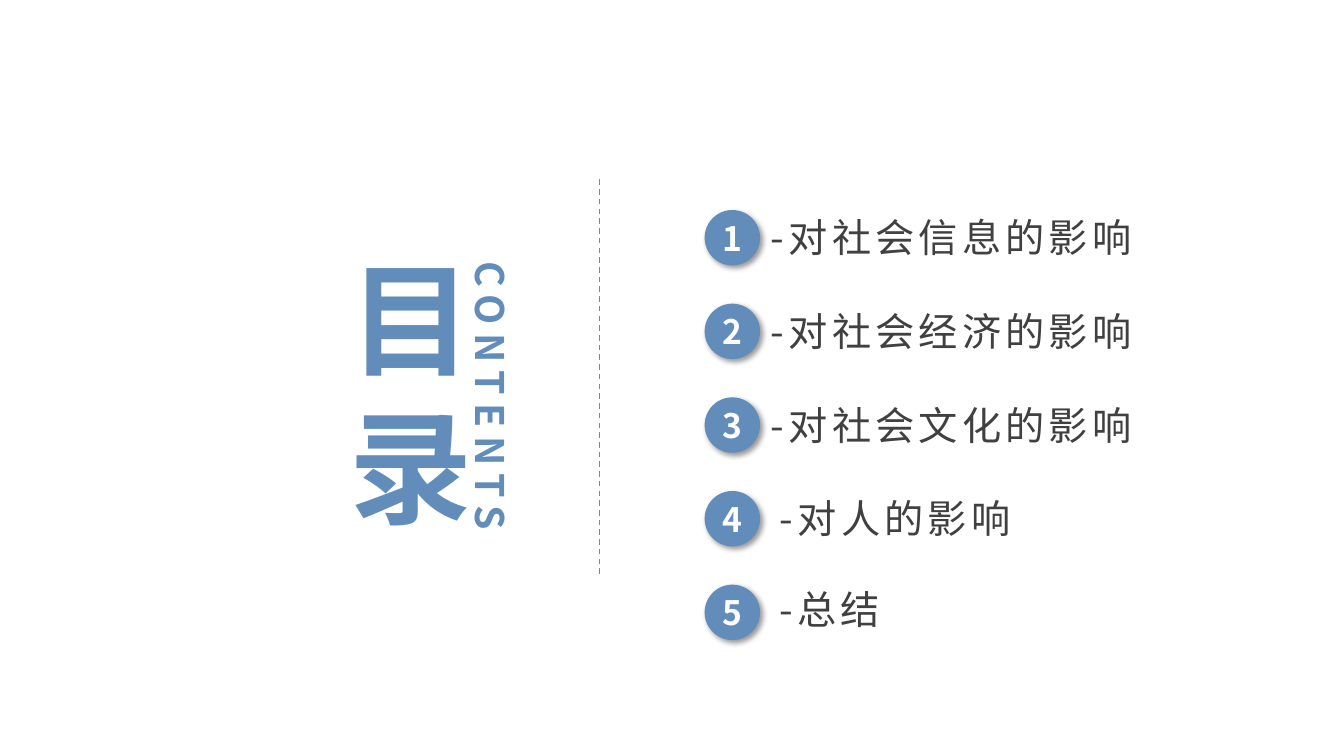
from dataclasses import dataclass
from typing import Optional

from lxml import etree
from pptx import Presentation
from pptx.dml.color import RGBColor
from pptx.enum import dml, shapes, text
from pptx.oxml.ns import qn
from pptx.util import Pt


@dataclass(frozen=True)
class Theme:
    font: str = "Noto Sans CJK SC"
    accent: str = "628DBA"
    body: str = "404040"
    white: str = "FFFFFF"
    shadow: str = "000000"
    title_size: float = 88
    item_size: float = 28
    number_size: float = 24


@dataclass(frozen=True)
class Box:
    left: float
    top: float
    width: float
    height: float

    def lengths(self) -> tuple:
        return Pt(self.left), Pt(self.top), Pt(self.width), Pt(self.height)


@dataclass(frozen=True)
class Item:
    label: str
    left: float
    width: float
    rise: float = 1


T = Theme()
ITEMS = [
    Item("-对社会信息的影响", 543.6, 279.4),
    Item("-对社会经济的影响", 543.6, 279.4),
    Item("-对社会文化的影响", 543.6, 279.4),
    Item("-对人的影响", 550, 186.5),
    Item("-总结", 550, 93.6, rise=3),
]
FIRST_TOP, PITCH = 150, 66.9
BADGE_LEFT, BADGE_SIZE, LABEL_HEIGHT = 503.3, 39.6, 41


def add_run(p, content: str, size: float, color: str, bold: bool = False,
            spacing: float = 0) -> None:
    r = p.add_run()
    r.text = content
    r.font.size = Pt(size)
    r.font.bold = bold
    r.font.color.rgb = RGBColor.from_string(color)
    r.font.name = T.font
    props = r._r.get_or_add_rPr()
    etree.SubElement(props, qn("a:ea")).set("typeface", T.font)
    if spacing:
        props.set("spc", str(int(spacing * 100)))


def add_text(s, box: Box, lines: list[str], size: float, color: str,
             bold: bool = False, spacing: float = 0,
             align: text.PP_ALIGN = text.PP_ALIGN.LEFT,
             pitch: Optional[float] = None):
    tf = s.shapes.add_textbox(*box.lengths()).text_frame
    tf.word_wrap = False
    tf.vertical_anchor = text.MSO_ANCHOR.MIDDLE
    for i, line in enumerate(lines):
        p = tf.add_paragraph() if i else tf.paragraphs[0]
        p.alignment = align
        if pitch:
            p.line_spacing = Pt(pitch)
        add_run(p, line, size, color, bold, spacing)
    return tf


def add_soft_shadow(sp) -> None:
    """Cast a blurred shadow towards the lower right."""
    sp.shadow.inherit = False
    effects = sp._element.spPr.find(qn("a:effectLst"))
    shadow = etree.SubElement(effects, qn("a:outerShdw"), blurRad=str(Pt(4)),
                              dist=str(Pt(3)), dir="2700000", algn="tl",
                              rotWithShape="0")
    color = etree.SubElement(shadow, qn("a:srgbClr"), val=T.shadow)
    etree.SubElement(color, qn("a:alpha"), val="40000")


def add_badge(s, number: int, top: float) -> None:
    box = Box(BADGE_LEFT, top, BADGE_SIZE, BADGE_SIZE)
    sp = s.shapes.add_shape(shapes.MSO_SHAPE.OVAL, *box.lengths())
    sp.fill.solid()
    sp.fill.fore_color.rgb = RGBColor.from_string(T.accent)
    sp.line.fill.background()
    add_soft_shadow(sp)
    tf = sp.text_frame
    tf.margin_left = tf.margin_right = 0
    tf.vertical_anchor = text.MSO_ANCHOR.MIDDLE
    p = tf.paragraphs[0]
    p.alignment = text.PP_ALIGN.CENTER
    add_run(p, str(number), T.number_size, T.white, bold=True)


def add_divider(s, x: float, top: float, bottom: float) -> None:
    line = s.shapes.add_connector(shapes.MSO_CONNECTOR.STRAIGHT,
                                  Pt(x), Pt(top), Pt(x), Pt(bottom))
    line.line.color.rgb = RGBColor.from_string(T.accent)
    line.line.width = Pt(1)
    line.line.dash_style = dml.MSO_LINE.DASH
    etree.SubElement(line._element.spPr, qn("a:effectLst"))


def add_heading(s) -> None:
    tf = add_text(s, Box(242, 164.2, 103.7, 220.3), ["目", "录"], T.title_size,
                  T.accent, bold=True, spacing=6,
                  align=text.PP_ALIGN.CENTER, pitch=106)
    tf.margin_top = Pt(13.6)
    tf = add_text(s, Box(326.9, 180, 48.2, 205.2), ["CONTENTS"], T.item_size,
                  T.accent, bold=True, spacing=6)
    tf._txBody.bodyPr.set("vert", "eaVert")


def main() -> None:
    prs = Presentation()
    prs.slide_width, prs.slide_height = Pt(960), Pt(540)
    s = prs.slides.add_slide(prs.slide_layouts[6])
    add_heading(s)
    add_divider(s, 428.4, 128.2, 411.8)
    for i, item in enumerate(ITEMS):
        top = FIRST_TOP + i * PITCH
        add_badge(s, i + 1, top)
        add_text(s, Box(item.left, top - item.rise, item.width, LABEL_HEIGHT),
                 [item.label], T.item_size, T.body, spacing=3)
    prs.save("out.pptx")


if __name__ == "__main__":
    main()
